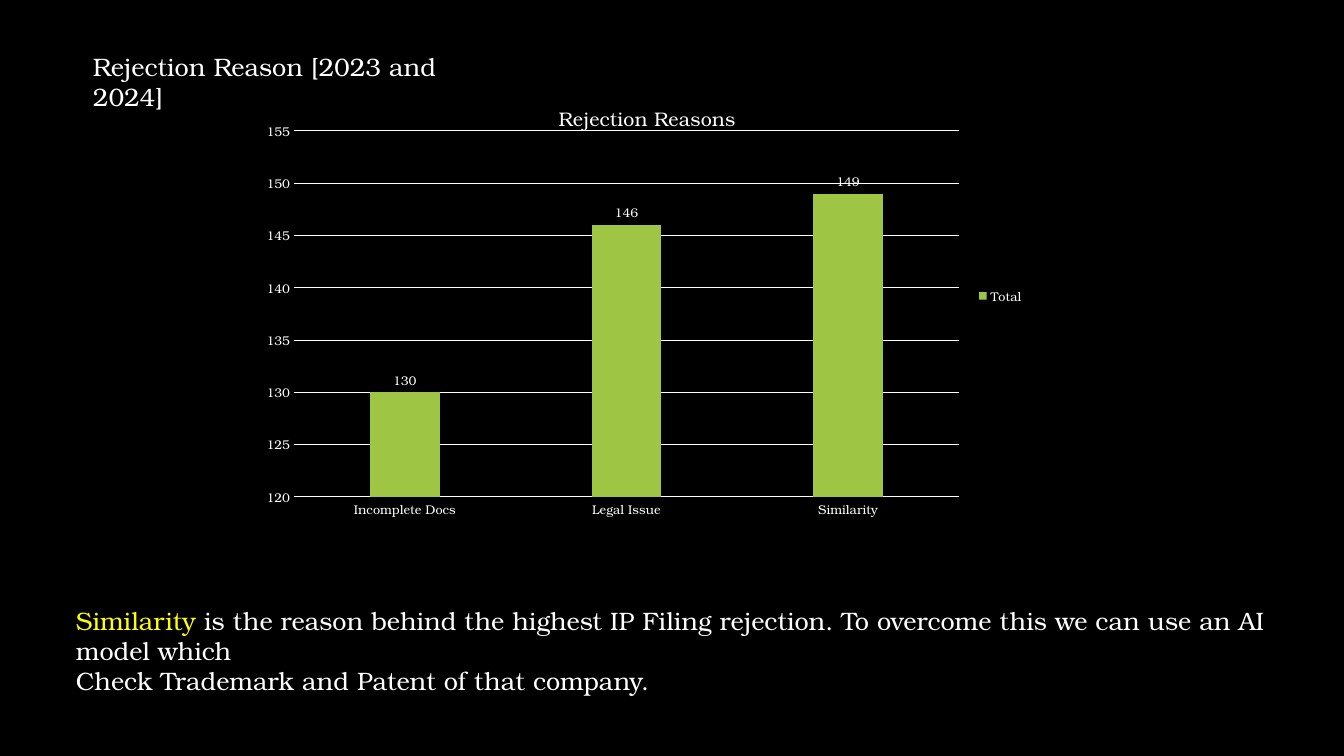
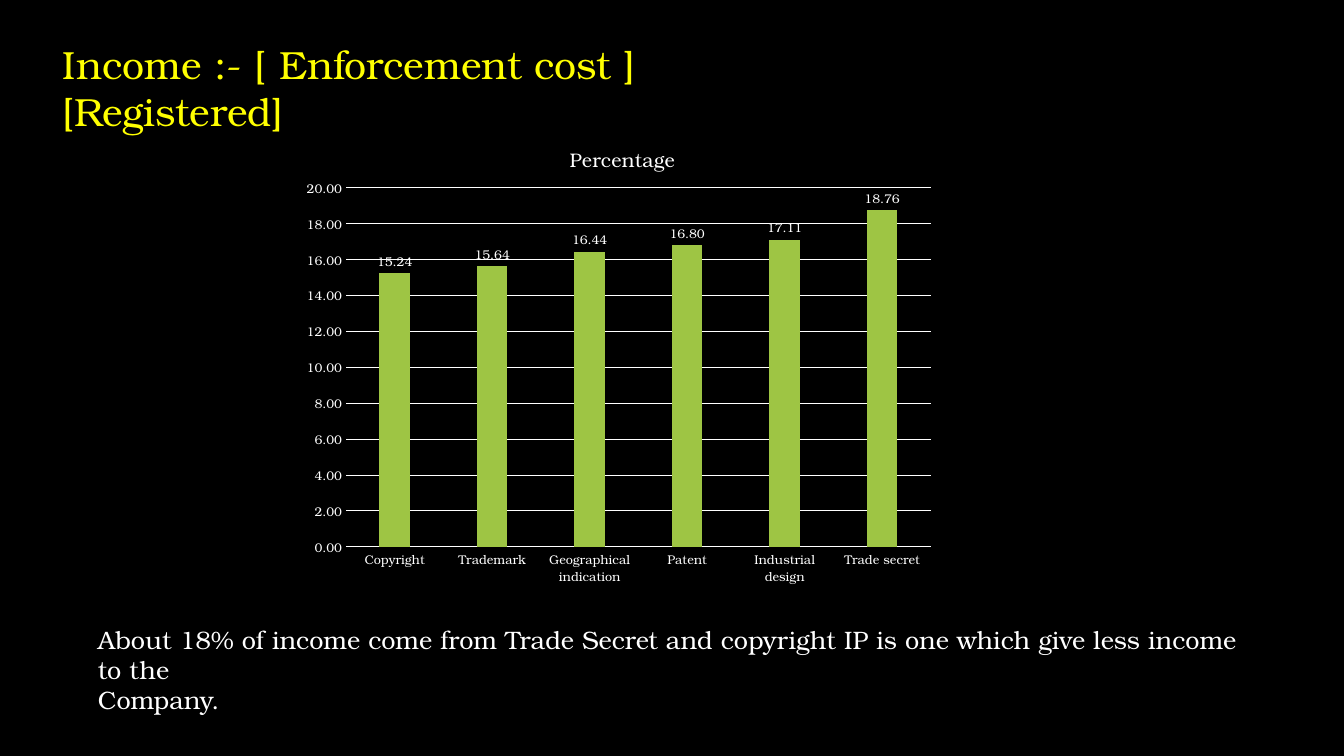
from lxml import etree
from pptx import Presentation
from pptx.chart.data import CategoryChartData
from pptx.dml.color import RGBColor
from pptx.enum.chart import XL_CHART_TYPE, XL_LABEL_POSITION, XL_LEGEND_POSITION, XL_TICK_MARK
from pptx.enum.text import MSO_AUTO_SIZE
from pptx.oxml.ns import qn
from pptx.util import Emu, Pt

COLUMNS = XL_CHART_TYPE.COLUMN_CLUSTERED
OUTSIDE_END = XL_LABEL_POSITION.OUTSIDE_END
LEGEND_RIGHT = XL_LEGEND_POSITION.RIGHT
NO_TICK = XL_TICK_MARK.NONE
GROW = MSO_AUTO_SIZE.SHAPE_TO_FIT_TEXT

FONT = "TeX Gyre Bonum"
BLACK, WHITE, YELLOW, GREEN = "000000", "FFFFFF", "FFFF00", "9EC544"
SLIDE_SIZE = (1344, 756)
PX_PER_INCH = 100.8


def px(length):
    return Emu(round(length * 914400 / PX_PER_INCH))


def rgb(value):
    return RGBColor.from_string(value)


def style_font(font, size, color=WHITE):
    font.name = FONT
    font.size = Pt(size)
    font.color.rgb = rgb(color)


def style_line(line, color=WHITE, width=0.75):
    line.color.rgb = rgb(color)
    line.width = Pt(width)


def add_text(slide, box, paragraphs, size=18, color=WHITE, highlight=YELLOW):
    frame = slide.shapes.add_textbox(*map(px, box)).text_frame
    frame.word_wrap = True
    frame.auto_size = GROW
    for index, parts in enumerate(paragraphs):
        paragraph = frame.paragraphs[0] if index == 0 else frame.add_paragraph()
        for text, highlighted in parts:
            run = paragraph.add_run()
            run.text = text
            style_font(run.font, size, highlight if highlighted else color)


def make_layout(fractions, inner=False):
    layout = etree.Element(qn("c:layout"))
    manual = etree.SubElement(layout, qn("c:manualLayout"))
    if inner:
        etree.SubElement(manual, qn("c:layoutTarget"), val="inner")
    for name in ("xMode", "yMode"):
        etree.SubElement(manual, qn(f"c:{name}"), val="edge")
    for name, fraction in zip("xywh", fractions):
        etree.SubElement(manual, qn(f"c:{name}"), val=f"{fraction:.4f}")
    return layout


def place_chart_parts(chart, box, title_at, plot_box):
    _, _, width, height = box
    title = chart.chart_title.element
    plot_area = chart.element.find(".//" + qn("c:plotArea"))
    for part in (title, plot_area):
        for layout in part.findall(qn("c:layout")):
            part.remove(layout)
    title_x, title_y = title_at
    title.find(qn("c:tx")).addnext(make_layout((title_x / width, title_y / height)))
    sizes = (width, height, width, height)
    fractions = [length / size for length, size in zip(plot_box, sizes)]
    plot_area.insert(0, make_layout(fractions, inner=True))


def add_column_chart(slide, box, title, series_name, values, scale, title_at, plot_box,
                     number_format="General", legend=False):
    data = CategoryChartData(number_format=number_format)
    data.categories = list(values)
    data.add_series(series_name, list(values.values()))
    chart = slide.shapes.add_chart(COLUMNS, *map(px, box), data).chart
    style_font(chart.font, 10)

    chart.has_title = True
    heading = chart.chart_title.text_frame
    heading.text = title
    style_font(heading.paragraphs[0].runs[0].font, 14)
    heading.paragraphs[0].runs[0].font.bold = False

    chart.has_legend = legend
    if legend:
        chart.legend.position = LEGEND_RIGHT
        chart.legend.include_in_layout = False
        style_font(chart.legend.font, 9)

    for axis in (chart.category_axis, chart.value_axis):
        axis.major_tick_mark = axis.minor_tick_mark = NO_TICK
        style_font(axis.tick_labels.font, 9)
    style_line(chart.category_axis.format.line)

    value_axis = chart.value_axis
    value_axis.minimum_scale, value_axis.maximum_scale, value_axis.major_unit = scale
    value_axis.format.line.fill.background()
    value_axis.has_major_gridlines = True
    style_line(value_axis.major_gridlines.format.line)

    plot = chart.plots[0]
    plot.vary_by_categories = False
    plot.gap_width = 219
    plot.overlap = -27
    bars = plot.series[0]
    bars.format.fill.solid()
    bars.format.fill.fore_color.rgb = rgb(GREEN)

    labels = bars.data_labels
    labels.show_value = True
    labels.position = OUTSIDE_END
    style_font(labels.font, 9)
    for numbers in (value_axis.tick_labels, labels):
        numbers.number_format = number_format
        numbers.number_format_is_linked = False

    place_chart_parts(chart, box, title_at, plot_box)


def build_rejection_slide(slide):
    reasons = {"Incomplete Docs": 130, "Legal Issue": 146, "Similarity": 149}
    add_column_chart(slide, (251, 64, 783, 464), "Rejection Reasons", "Total", reasons,
                     scale=(120, 155, 5), title_at=(304, 36),
                     plot_box=(43, 67, 665, 366), legend=True)
    add_text(slide, (83, 46, 413, 40), [[("Rejection Reason [2023 and 2024]", False)]])
    add_text(slide, (66, 600, 1278, 72), [
        [("Similarity", True),
         (" is the reason behind the highest IP Filing rejection. "
          "To overcome this we can use an AI model which", False)],
        [("Check Trademark and Patent of that company.", False)],
    ])


def build_income_slide(slide):
    shares = {
        "Copyright": 15.24,
        "Trademark": 15.64,
        "Geographical indication": 16.44,
        "Patent": 16.80,
        "Industrial design": 17.11,
        "Trade secret": 18.76,
    }
    add_text(slide, (53, 35, 792, 57),
             [[("Income :- [ Enforcement cost ][Registered]", True)]], size=28)
    add_text(slide, (88, 619, 1187, 72), [
        [("About 18% of income come from Trade Secret and copyright IP "
          "is one which give less income to the", False)],
        [("Company.", False)],
    ])
    add_column_chart(slide, (293, 118, 650, 477), "Percentage", "Percentage", shares,
                     scale=(0, 20, 2), title_at=(273, 23),
                     plot_box=(53, 70, 585, 359), number_format="0.00")


def main():
    deck = Presentation()
    deck.slide_width, deck.slide_height = map(px, SLIDE_SIZE)
    background = deck.slide_master.background.fill
    background.solid()
    background.fore_color.rgb = rgb(BLACK)
    blank = deck.slide_layouts[6]
    for build in (build_rejection_slide, build_income_slide):
        build(deck.slides.add_slide(blank))
    deck.save("out.pptx")


if __name__ == "__main__":
    main()
